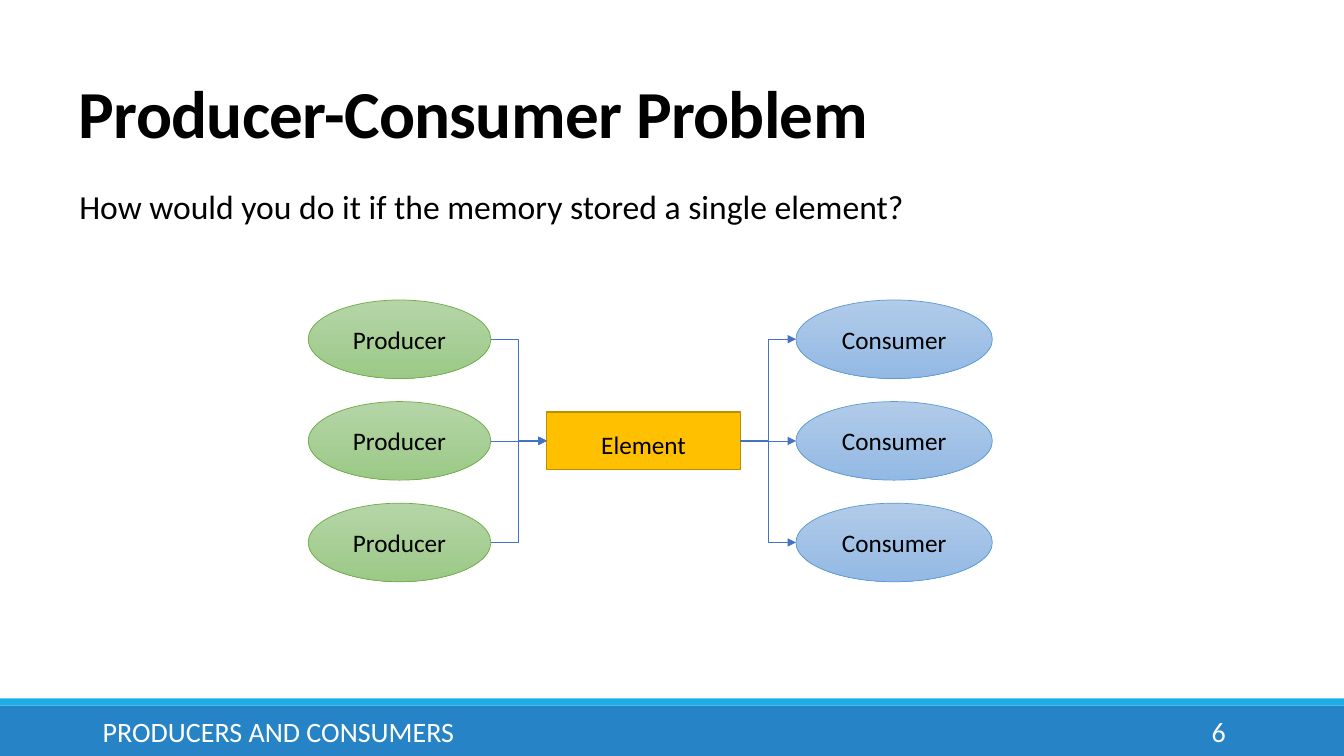
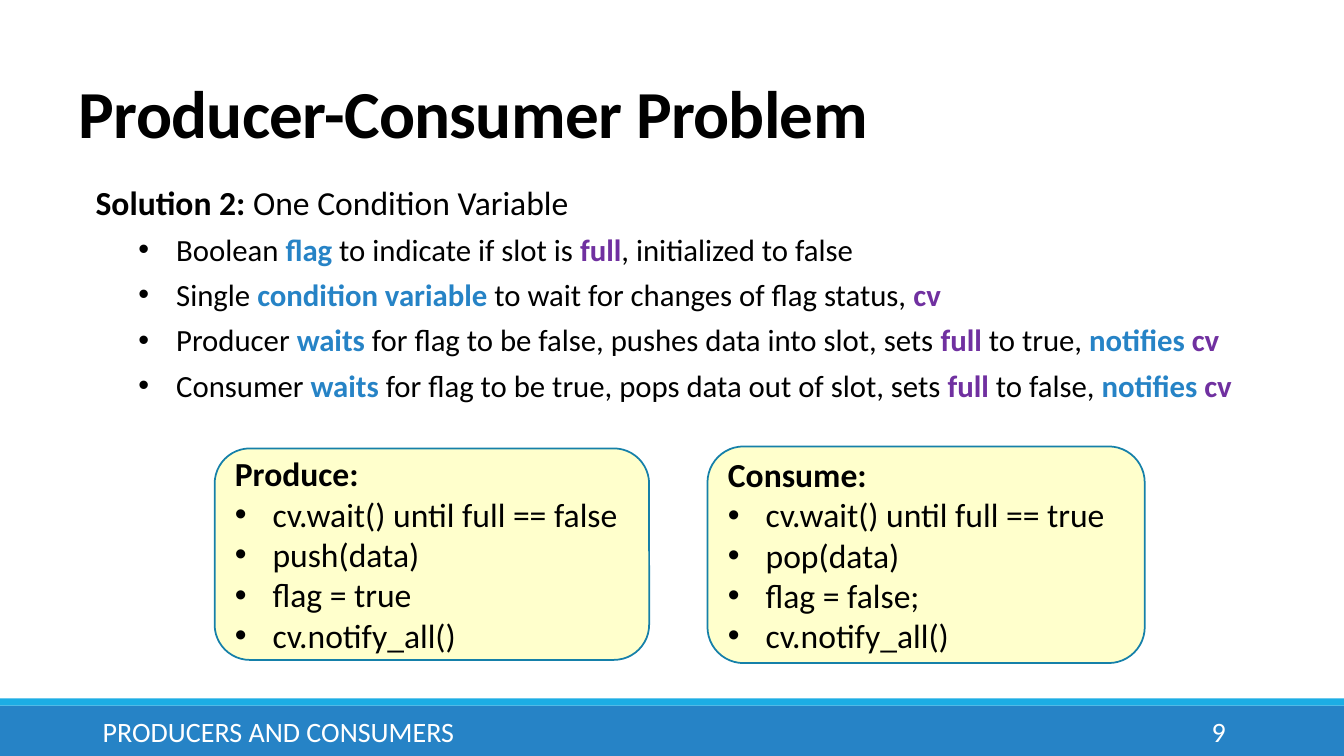
import pptx
import pptx.dml.color
import pptx.enum.shapes
import pptx.enum.text
import pptx.oxml.ns
import pptx.util
from lxml import etree

Cm = pptx.util.Cm
Pt = pptx.util.Pt
RGBColor = pptx.dml.color.RGBColor
Shape = pptx.enum.shapes.MSO_SHAPE
Connector = pptx.enum.shapes.MSO_CONNECTOR
Align = pptx.enum.text.PP_ALIGN
Anchor = pptx.enum.text.MSO_ANCHOR
qn = pptx.oxml.ns.qn

FONT = "Calibri"
BLACK = RGBColor(0x00, 0x00, 0x00)
WHITE = RGBColor(0xFF, 0xFF, 0xFF)
BLUE = RGBColor(0x26, 0x83, 0xC6)
CYAN = RGBColor(0x1C, 0xAD, 0xE4)
PURPLE = RGBColor(0x70, 0x30, 0xA0)
CREAM = RGBColor(0xFF, 0xFF, 0xCC)
CARD_EDGE = RGBColor(0x15, 0x80, 0xA9)
AMBER = RGBColor(0xFF, 0xC0, 0x00)
AMBER_EDGE = RGBColor(0xBD, 0x8E, 0x00)
ARROW = RGBColor(0x44, 0x72, 0xC4)
GREENS = (RGBColor(0xB5, 0xD5, 0xA7), RGBColor(0x9C, 0xC9, 0x87))
GREEN_EDGE = RGBColor(0x70, 0xAD, 0x47)
BLUES = (RGBColor(0xB1, 0xCB, 0xE9), RGBColor(0x93, 0xB9, 0xE4))
BLUE_EDGE = RGBColor(0x5B, 0x9B, 0xD5)

WIDTH, HEIGHT = 33.87, 19.05
TITLE_ONLY, TITLE_AND_BODY = 5, 1
BULLET_INDENT = 0.95


def place(shape, left, top, width, height):
    shape.left, shape.top = Cm(left), Cm(top)
    shape.width, shape.height = Cm(width), Cm(height)


def add_run(paragraph, text, size, color=BLACK, bold=False):
    run = paragraph.add_run()
    run.text = text
    run.font.name = FONT
    run.font.size = Pt(size)
    run.font.bold = bold
    run.font.color.rgb = color
    return run


def set_bullet(paragraph, margin=0, char=None):
    properties = paragraph._p.get_or_add_pPr()
    properties.set("marL", str(Cm(margin)))
    properties.set("indent", str(-Cm(BULLET_INDENT) if char else 0))
    if char:
        etree.SubElement(properties, qn("a:buFont")).set("typeface", "Arial")
        etree.SubElement(properties, qn("a:buChar")).set("char", char)
    else:
        etree.SubElement(properties, qn("a:buNone"))


def next_paragraph(frame, first):
    return frame.paragraphs[0] if first else frame.add_paragraph()


def add_label(slide, text, box, size, color=BLACK, align=Align.LEFT, wrap=True):
    label = slide.shapes.add_textbox(*map(Cm, box))
    frame = label.text_frame
    frame.word_wrap = wrap
    frame.vertical_anchor = Anchor.MIDDLE if wrap else Anchor.TOP
    frame.paragraphs[0].alignment = align
    add_run(frame.paragraphs[0], text, size, color)


def add_block(slide, kind, box, fill, edge=None, weight=0.5):
    block = slide.shapes.add_shape(kind, *map(Cm, box))
    block.shadow.inherit = False
    if isinstance(fill, RGBColor):
        block.fill.solid()
        block.fill.fore_color.rgb = fill
    else:
        block.fill.gradient()
        block.fill.gradient_angle = 270
        for stop, color in zip(block.fill.gradient_stops, fill):
            stop.color.rgb = color
    if edge is None:
        block.line.fill.background()
    else:
        block.line.color.rgb = edge
        block.line.width = Pt(weight)
    return block


def add_node(slide, kind, text, box, fill, edge, weight=0.5):
    node = add_block(slide, kind, box, fill, edge, weight)
    node.text_frame.vertical_anchor = Anchor.MIDDLE
    paragraph = node.text_frame.paragraphs[0]
    paragraph.alignment = Align.CENTER
    add_run(paragraph, text, 18)
    return node


def add_arrow(slide, start, end):
    kind = Connector.STRAIGHT if start[1] == end[1] else Connector.ELBOW
    arrow = slide.shapes.add_connector(kind, *map(Cm, start + end))
    arrow.line.color.rgb = ARROW
    arrow.line.width = Pt(0.5)
    etree.SubElement(arrow.line._get_or_add_ln(), qn("a:tailEnd")).set("type", "triangle")
    etree.SubElement(arrow._element.spPr, qn("a:effectLst"))
    return arrow


def add_slide(deck, layout, number):
    slide = deck.slides.add_slide(deck.slide_layouts[layout])
    add_block(slide, Shape.RECTANGLE, (0, 17.78, WIDTH, 1.27), BLUE)
    add_block(slide, Shape.RECTANGLE, (0, 17.6, WIDTH, 0.18), CYAN)
    title = slide.shapes.title
    place(title, 1.73, 1.8, 27.94, 2.16)
    title.text_frame.vertical_anchor = Anchor.BOTTOM
    heading = title.text_frame.paragraphs[0]
    heading.alignment = Align.LEFT
    heading.line_spacing = 0.85
    run = add_run(heading, "Producer-Consumer Problem", 48, bold=True)
    run.font._element.set("spc", "-50")
    add_label(slide, "PRODUCERS AND CONSUMERS", (2.34, 17.93, 21.31, 1.02), 20, WHITE)
    add_label(slide, number, (27.51, 17.93, 3.63, 1.02), 20, WHITE, Align.RIGHT)
    return slide


def add_flow(slide):
    top, pitch, height = 7.56, 2.56, 1.98
    producer_left, producer_width = 7.77, 4.6
    consumer_left, consumer_width = 20.06, 4.95
    element_left, element_width, element_height = 13.78, 4.88, 1.45
    middle = top + pitch + height / 2

    element = add_node(
        slide, Shape.RECTANGLE, "Element",
        (element_left, middle - element_height / 2, element_width, element_height),
        AMBER, AMBER_EDGE, 1)
    element.text_frame.margin_top = Cm(0.2)
    element.text_frame.margin_bottom = 0
    for row in range(3):
        y = top + row * pitch
        center = middle + (row - 1) * pitch
        add_node(slide, Shape.OVAL, "Producer",
                 (producer_left, y, producer_width, height), GREENS, GREEN_EDGE)
        add_node(slide, Shape.OVAL, "Consumer",
                 (consumer_left, y, consumer_width, height), BLUES, BLUE_EDGE)
        push = add_arrow(slide, (producer_left + producer_width, center),
                         (element_left, middle))
        push.end_connect(element, 1)
        pop = add_arrow(slide, (element_left + element_width, middle),
                        (consumer_left, center))
        pop.begin_connect(element, 3)


def add_solution(slide, heading, points):
    body = slide.placeholders[1]
    place(body, 2.41, 4.45, 28.78, 5.89)
    frame = body.text_frame
    frame.margin_left = frame.margin_right = 0
    for index, spans in enumerate([heading] + points):
        paragraph = next_paragraph(frame, index == 0)
        if index:
            paragraph.level = 1
            set_bullet(paragraph, 2.03, "•")
        else:
            set_bullet(paragraph)
        paragraph.space_before = Pt(0)
        paragraph.space_after = Pt(6)
        for text, color, bold in spans:
            add_run(paragraph, text, 22 if index else 24, color, bold)


def add_steps(slide, heading, steps, box):
    card = add_block(slide, Shape.ROUNDED_RECTANGLE, box, CREAM, CARD_EDGE, 1.25)
    frame = card.text_frame
    frame.vertical_anchor = Anchor.MIDDLE
    for index, text in enumerate([heading] + steps):
        paragraph = next_paragraph(frame, index == 0)
        paragraph.alignment = Align.LEFT
        if index:
            set_bullet(paragraph, BULLET_INDENT, "•")
        add_run(paragraph, text, 24, bold=index == 0)


def plain(text):
    return text, BLACK, False


def term(text):
    return text, BLUE, True


def variable(text):
    return text, PURPLE, True


def role_point(role, awaited, action, result):
    return [plain(role + " "), term("waits"),
            plain(f" for flag to be {awaited}, {action} slot, sets "),
            variable("full"), plain(f" to {result}, "),
            term("notifies "), variable("cv")]


def main():
    deck = pptx.Presentation()
    deck.slide_width, deck.slide_height = Cm(WIDTH), Cm(HEIGHT)

    problem = add_slide(deck, TITLE_ONLY, "6")
    add_label(problem, "How would you do it if the memory stored a single element?",
              (1.75, 4.55, 21.46, 1.27), 24, wrap=False)
    add_flow(problem)

    solution = add_slide(deck, TITLE_AND_BODY, "9")
    add_solution(
        solution,
        [("Solution 2:", BLACK, True), plain(" One Condition Variable")],
        [
            [plain("Boolean "), term("flag"), plain(" to indicate if slot is "),
             variable("full"), plain(", initialized to false")],
            [plain("Single "), term("condition variable "),
             plain("to wait for changes of flag status, "), variable("cv")],
            role_point("Producer", "false", "pushes data into", "true"),
            role_point("Consumer", "true", "pops data out of", "false"),
        ])
    add_steps(solution, "Produce:",
              ["cv.wait() until full == false", "push(data)", "flag = true", "cv.notify_all()"],
              (5.41, 11.3, 10.95, 5.33))
    add_steps(solution, "Consume:",
              ["cv.wait() until full == true", "pop(data)", "flag = false;", "cv.notify_all()"],
              (17.83, 11.25, 11.02, 5.46))

    deck.save("out.pptx")


if __name__ == "__main__":
    main()
